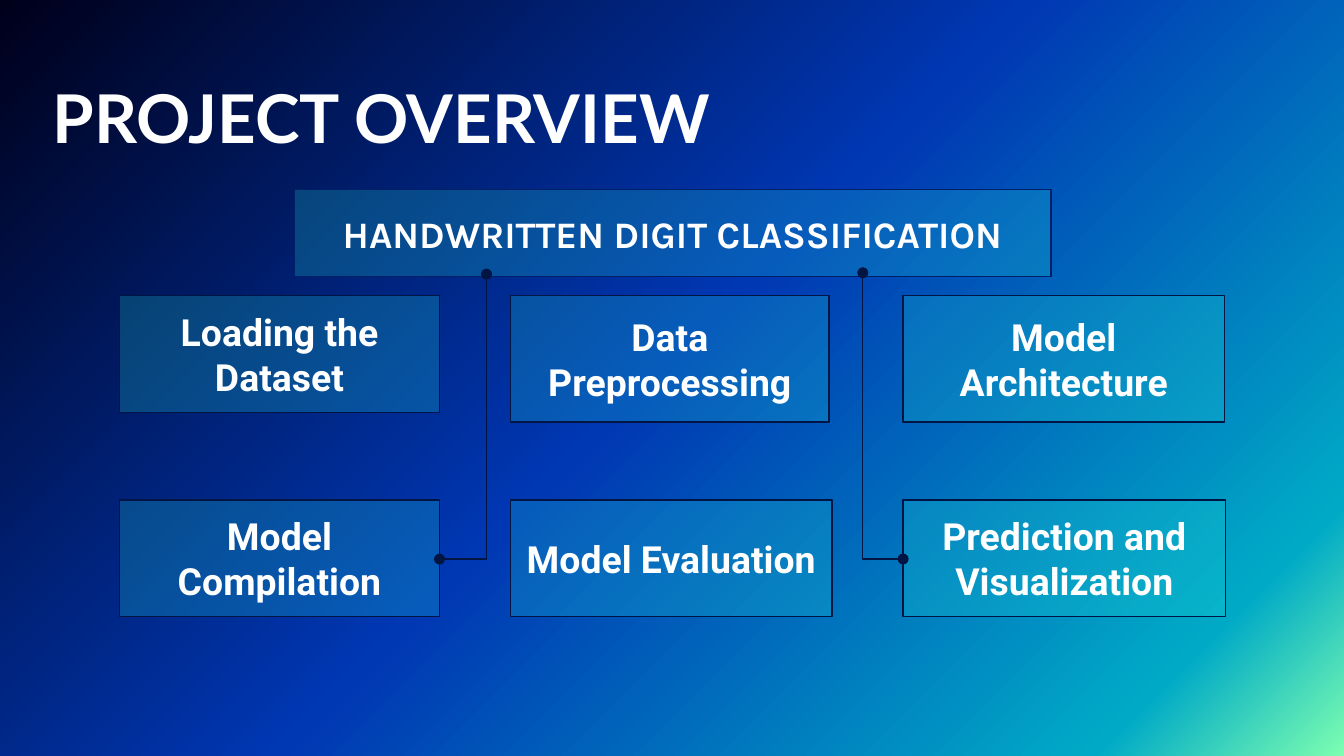
"""Build the project overview slide with its diagram of six stages."""
from lxml import etree
from pptx import Presentation
from pptx.dml.color import RGBColor
from pptx.enum import shapes, text
from pptx.oxml import ns
from pptx.util import Inches, Pt


def color(value):
    return RGBColor.from_string(value)


def write(shape, words, font, size, inset, anchor, alignment):
    frame = shape.text_frame
    frame.word_wrap = True
    frame.auto_size = text.MSO_AUTO_SIZE.NONE
    frame.vertical_anchor = anchor
    frame.margin_left = frame.margin_right = Inches(inset)
    frame.margin_top = frame.margin_bottom = Inches(inset)
    paragraph = frame.paragraphs[0]
    paragraph.alignment = alignment
    run = paragraph.add_run()
    run.text = words
    run.font.name = font
    run.font.size = Pt(size)
    run.font.bold = True
    run.font.color.rgb = color("FFFFFF")


presentation = Presentation()
presentation.slide_width = Inches(10)
presentation.slide_height = Inches(10 * 9 / 16)
slide = presentation.slides.add_slide(presentation.slide_layouts[5])

background = slide.background.fill
background.gradient()
background.gradient_angle = 135
stops = slide.background._cSld.find(".//" + ns.qn("a:gsLst"))
for stop in list(stops):
    stops.remove(stop)
for position, value in ((0, "7DFFB1"), (12, "00AAC6"), (51, "0037B3"), (100, "00001A")):
    stop = etree.SubElement(stops, ns.qn("a:gs"), pos=str(position * 1000))
    etree.SubElement(stop, ns.qn("a:srgbClr"), val=value)

title = slide.shapes.title
title.left, title.top = Inches(0.39), Inches(0.23)
title.width, title.height = Inches(6.59), Inches(0.94)
write(title, "PROJECT OVERVIEW", "Lato", 36, 0, text.MSO_ANCHOR.BOTTOM, text.PP_ALIGN.LEFT)

columns = (0.89, 3.8, 6.72)
rows = (2.2, 3.72)
boxes = (
    ("HANDWRITTEN DIGIT CLASSIFICATION", "Karla", "001F66", 2.19, 1.41, 5.63, 0.65),
    ("Model Architecture", "Roboto", "001544", columns[2], rows[0], 2.39, 0.94),
    ("Loading the Dataset", "Roboto", "001544", columns[0], rows[0], 2.38, 0.87),
    ("Data Preprocessing", "Roboto", "001544", columns[1], rows[0], 2.37, 0.94),
    ("Prediction and Visualization", "Roboto", "001544", columns[2], rows[1], 2.4, 0.87),
    ("Model Compilation", "Roboto", "001544", columns[0], rows[1], 2.38, 0.87),
    ("Model Evaluation", "Roboto", "001544", columns[1], rows[1], 2.39, 0.87),
)
for words, font, outline, *place in boxes:
    box = slide.shapes.add_shape(shapes.MSO_SHAPE.RECTANGLE, *map(Inches, place))
    box.shadow.inherit = False
    box.fill.solid()
    box.fill.fore_color.rgb = color("21DFD8")
    fill = box._element.spPr.find(ns.qn("a:solidFill"))
    etree.SubElement(fill[0], ns.qn("a:alpha"), val="22000")
    box.line.color.rgb = color(outline)
    box.line.width = Pt(0.75)
    write(box, words, font, 20, 0.1, text.MSO_ANCHOR.MIDDLE, text.PP_ALIGN.CENTER)

for start_x, start_y, end_x, end_y in ((3.62, 2.04, 3.27, 4.16), (6.42, 2.03, 6.72, 4.16)):
    length, reach = end_y - start_y, abs(end_x - start_x)
    left = (start_x + end_x - length) / 2
    top = (start_y + end_y - reach) / 2
    connector = slide.shapes.add_connector(
        shapes.MSO_CONNECTOR.ELBOW,
        *map(Inches, (left, top, left + length, top + reach)),
    )
    connector.line.color.rgb = color("001544")
    connector.line.width = Pt(0.75)
    properties = connector._element.spPr
    properties.find(ns.qn("a:prstGeom")).set("prst", "bentConnector2")
    transform = properties.find(ns.qn("a:xfrm"))
    if end_x < start_x:
        transform.set("rot", "5400000")
    else:
        transform.set("rot", "16200000")
        transform.set("flipH", "1")
    line = properties.find(ns.qn("a:ln"))
    for tip in ("a:headEnd", "a:tailEnd"):
        etree.SubElement(line, ns.qn(tip), type="oval")
    etree.SubElement(properties, ns.qn("a:effectLst"))

presentation.save("out.pptx")
